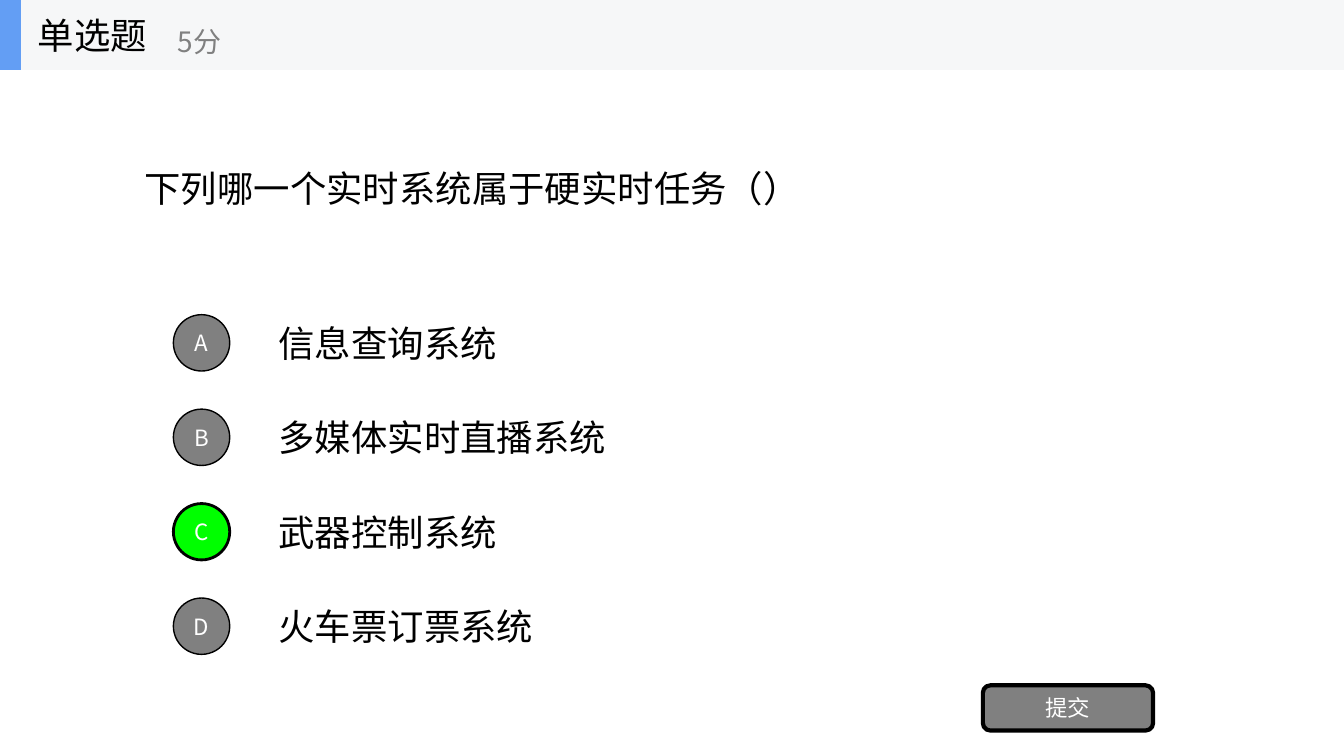
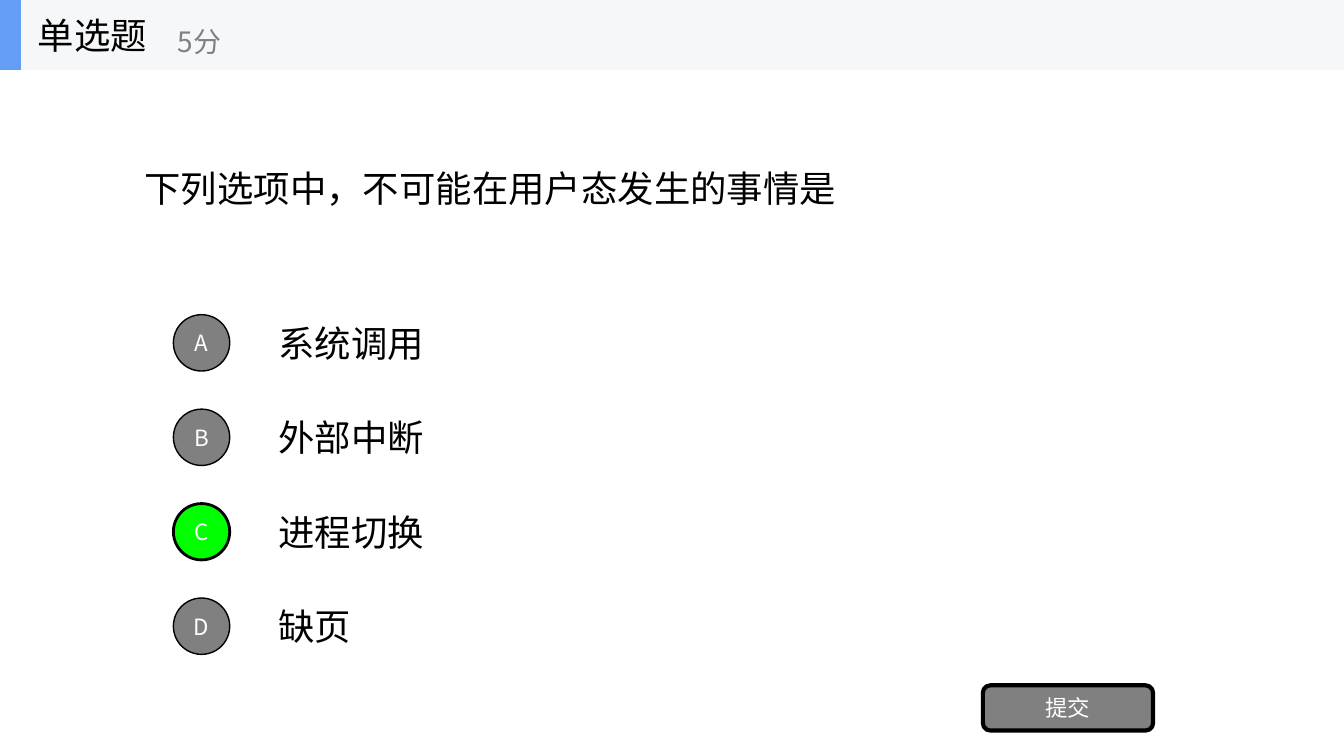
from lxml import etree
from pptx import Presentation
from pptx.dml.color import RGBColor
from pptx.enum.shapes import MSO_SHAPE as Kind
from pptx.enum.text import MSO_ANCHOR as Anchor, PP_ALIGN as Align
from pptx.oxml.ns import qn
from pptx.util import Cm, Pt

# Shared style
FONT = "Noto Sans CJK SC"
BLACK, WHITE, GREY = "000000", "FFFFFF", "808080"
GREEN, BLUE, PALE = "00FF00", "639EF4", "F6F7F8"
WIDE, HIGH = 33.87, 19.05
BAND = 1.76

# Option grid: badge and answer share the middle of each row
TOP, STEP, ROW, DISC = 7.75, 2.38, 1.78, 1.42

# Question, answers, right letter
QUIZ = [
    ("下列哪一个实时系统属于硬实时任务（）",
     ["信息查询系统", "多媒体实时直播系统", "武器控制系统", "火车票订票系统"], "C"),
    ("下列选项中，不可能在用户态发生的事情是",
     ["系统调用", "外部中断", "进程切换", "缺页"], "C"),
]


def write(shape, text, size, color, align=Align.LEFT):
    frame = shape.text_frame
    frame.word_wrap = True
    frame.vertical_anchor = Anchor.MIDDLE
    frame.text = text
    para = frame.paragraphs[0]
    para.alignment = align
    font = para.runs[0].font
    font.size, font.name = Pt(size), FONT
    font.color.rgb = RGBColor.from_string(color)
    # East Asian text takes its own typeface
    props = para.runs[0]._r.get_or_add_rPr()
    etree.SubElement(props, qn("a:ea")).set("typeface", FONT)


def draw(shapes, kind, box, fill, line=0):
    shape = shapes.add_shape(kind, *map(Cm, box))
    shape.shadow.inherit = False
    shape.fill.solid()
    shape.fill.fore_color.rgb = RGBColor.from_string(fill)
    if line:
        shape.line.width = Pt(line)
        shape.line.color.rgb = RGBColor.from_string(BLACK)
    else:
        shape.line.fill.background()
    return shape


deck = Presentation()
deck.slide_width, deck.slide_height = Cm(WIDE), Cm(HIGH)

for ask, answers, right in QUIZ:
    shapes = deck.slides.add_slide(deck.slide_layouts[6]).shapes

    # Question
    box = shapes.add_textbox(Cm(3.39), Cm(BAND), Cm(27.09), Cm(5.95))
    write(box, ask, 26, BLACK)

    # Answers with lettered badges
    for i, (letter, answer) in enumerate(zip("ABCD", answers)):
        top = TOP + i * STEP
        box = shapes.add_textbox(Cm(6.77), Cm(top), Cm(23.71), Cm(ROW))
        write(box, answer, 26, BLACK)
        fill, line = (GREEN, 2) if letter == right else (GREY, 1)
        place = (4.37, top + (ROW - DISC) / 2, DISC, DISC)
        badge = draw(shapes, Kind.OVAL, place, fill, line)
        write(badge, letter, 16, WHITE, Align.CENTER)

    # Submit button
    button = draw(shapes, Kind.ROUNDED_RECTANGLE,
                  (24.77, 17.27, 4.29, 1.14), GREY, 3)
    write(button, "提交", 16, WHITE, Align.CENTER)

    # Header band
    head = shapes.add_group_shape().shapes
    draw(head, Kind.RECTANGLE, (0, 0, WIDE, BAND), PALE)
    draw(head, Kind.RECTANGLE, (0, 0, 0.53, BAND), BLUE)
    title = head.add_textbox(Cm(0.7), Cm(0), Cm(5.28), Cm(BAND))
    write(title, "单选题", 26, BLACK)
    score = head.add_textbox(Cm(4.23), Cm(0.32), Cm(6.35), Cm(1.42))
    write(score, "5分", 20, GREY)

deck.save("out.pptx")
